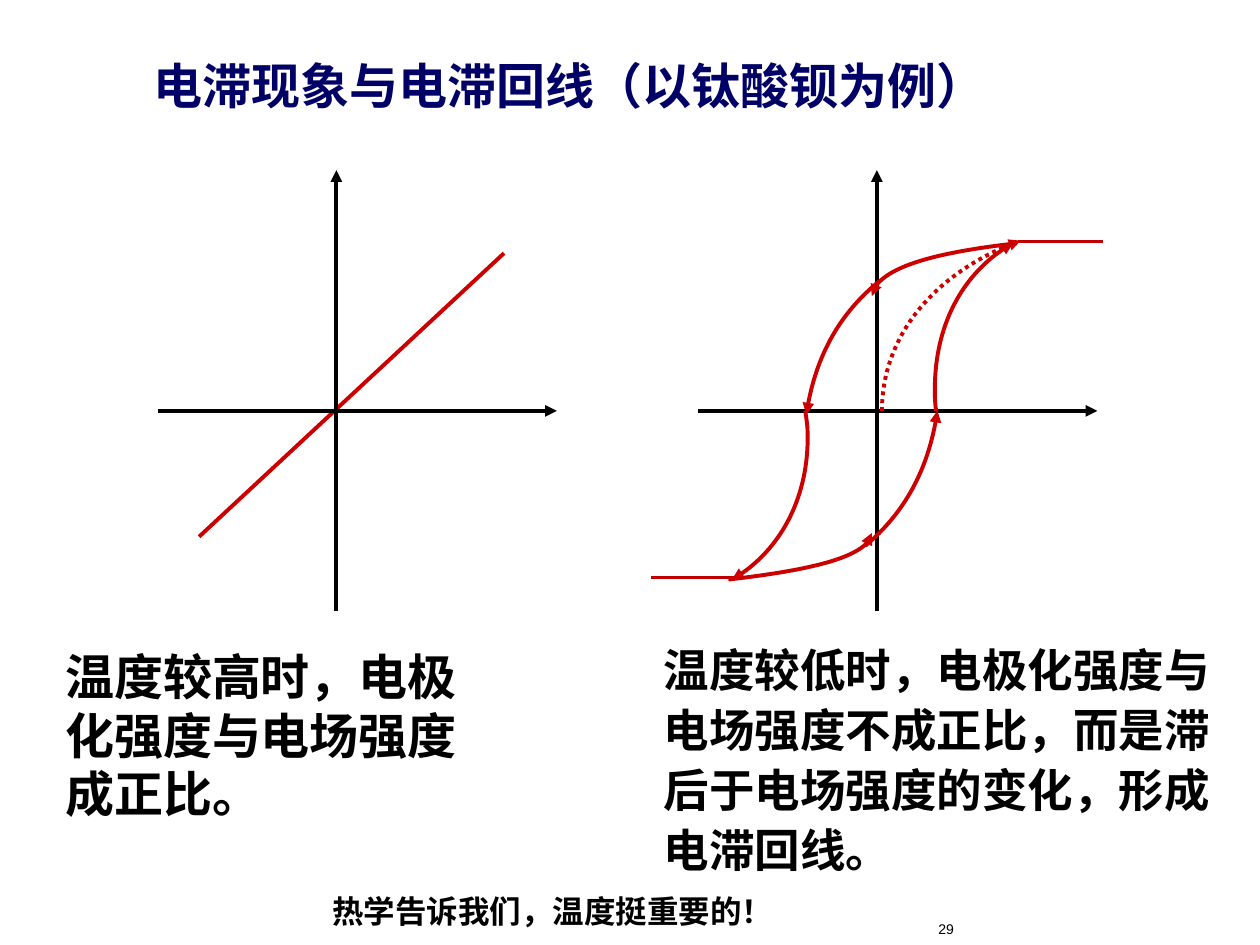
from lxml import etree
from pptx import Presentation
from pptx.dml.color import RGBColor
from pptx.enum.dml import MSO_LINE
from pptx.enum.shapes import MSO_CONNECTOR
from pptx.enum.text import MSO_ANCHOR, MSO_AUTO_SIZE, PP_ALIGN
from pptx.oxml.ns import qn
from pptx.util import Pt

BLACK, RED, DARK_RED, NAVY = "000000", "CC0000", "C00000", "000066"


def style_line(shape, color, width, arrow):
    shape.line.color.rgb = RGBColor.from_string(color)
    shape.line.width = Pt(width)
    if arrow:
        outline = shape.line._get_or_add_ln()
        etree.SubElement(outline, qn("a:tailEnd"), type="triangle")
    if shape._element.spPr.find(qn("a:effectLst")) is None:
        etree.SubElement(shape._element.spPr, qn("a:effectLst"))


def fill_text(box, place, text, font, size, color=BLACK, bold=True):
    box.left, box.top, box.width, box.height = [Pt(value) for value in place]
    frame = box.text_frame
    frame.word_wrap = True
    frame.auto_size = MSO_AUTO_SIZE.NONE
    frame.text = text
    para = frame.paragraphs[0]
    para.alignment = PP_ALIGN.LEFT
    span = para.runs[0].font
    span.name, span.size, span.bold = font, Pt(size), bold
    span.color.rgb = RGBColor.from_string(color)
    return para


deck = Presentation()
deck.slide_width, deck.slide_height = Pt(720), Pt(540)
page = deck.slides.add_slide(deck.slide_layouts[5])

# Title
fill_text(page.shapes.title, (80.6, 28, 540, 41), "电滞现象与电滞回线（以钛酸钡为例）",
          "Noto Sans CJK SC", 28, NAVY)
page.shapes.title.text_frame.vertical_anchor = MSO_ANCHOR.MIDDLE

# Proportional line, axes of both graphs and saturation lines
straight_lines = [
    (113.8, 306.7, 288, 144.7, RED, 2.25, False),
    (372.2, 329.8, 420, 329.8, DARK_RED, 1.75, False),
    (581.8, 138.2, 630, 138.2, DARK_RED, 1.75, False),
]
for axis_left, origin_x in ((90, 192.2), (398.9, 501.1)):
    straight_lines += [
        (axis_left, 234.8, axis_left + 228.2, 234.8, BLACK, 2.25, True),
        (origin_x, 349.2, origin_x, 97.2, BLACK, 2.25, True),
    ]
for x1, y1, x2, y2, color, width, arrow in straight_lines:
    line = page.shapes.add_connector(
        MSO_CONNECTOR.STRAIGHT, Pt(x1), Pt(y1), Pt(x2), Pt(y2))
    style_line(line, color, width, arrow)

# Hysteresis loop: Bezier points in arrow direction, initial curve first
curves = [
    [(504, 234.8), (504, 193), (535, 154.8), (583.2, 137.5)],
    [(581, 139), (530.6, 144.7), (498.2, 156.2), (498.2, 169.2)],
    [(535, 234.8), (534.2, 230.4), (534.2, 226), (534.2, 222.5),
     (534.2, 186.5), (551.5, 154.1), (578.9, 139)],
    [(502.6, 160.6), (480.2, 178.6), (465.1, 205.9), (460.8, 236.9)],
    [(416.2, 331.2), (466.6, 325.4), (499, 315.4), (498.2, 304.6)],
    [(460.1, 234.7), (460.8, 239), (461.5, 243.4), (461.5, 247.7),
     (462.2, 283), (445, 316.1), (418.3, 331.2)],
    [(494.6, 311.8), (517, 293), (531.4, 265.7), (535.7, 234.7)],
]
for index, points in enumerate(curves):
    start, *rest = [(Pt(x), Pt(y)) for x, y in points]
    builder = page.shapes.build_freeform(*start)
    builder.add_line_segments(rest, close=False)
    curve = builder.convert_to_shape()
    # Turn each three segments into one Bezier segment
    outline = curve._element.find(".//" + qn("a:path"))
    segments = outline.findall(qn("a:lnTo"))
    for first in range(0, len(segments), 3):
        bezier = etree.SubElement(outline, qn("a:cubicBezTo"))
        for segment in segments[first:first + 3]:
            bezier.append(segment[0])
            outline.remove(segment)
    curve.fill.background()
    curve.shadow.inherit = False
    if index == 0:
        curve.line.dash_style = MSO_LINE.ROUND_DOT
    style_line(curve, RED, 2.25, True)

# Captions, closing remark and page number
texts = [
    ((30.2, 365.8, 240, 108), "温度较高时，电极化强度与电场强度成正比。",
     "Times New Roman", 28, 1.0),
    ((372.2, 360, 347.8, 144.7),
     "温度较低时，电极化强度与电场强度不成正比，而是滞后于电场强度的变化，形成电滞回线。",
     "Times New Roman", 26, 1.1),
    ((182.9, 506.2, 270.7, 28.8), "热学告诉我们，温度挺重要的！", "Arial", 18, 1.0),
]
for place, text, font, size, spacing in texts:
    box = page.shapes.add_textbox(0, 0, 0, 0)
    para = fill_text(box, place, text, font, size)
    para.line_spacing = spacing

number = page.shapes.add_textbox(0, 0, 0, 0)
para = fill_text(number, (486, 522, 66.2, 18), "29", "Arial", 8, bold=False)
para.alignment = PP_ALIGN.RIGHT
number.text_frame.vertical_anchor = MSO_ANCHOR.MIDDLE

deck.save("out.pptx")
